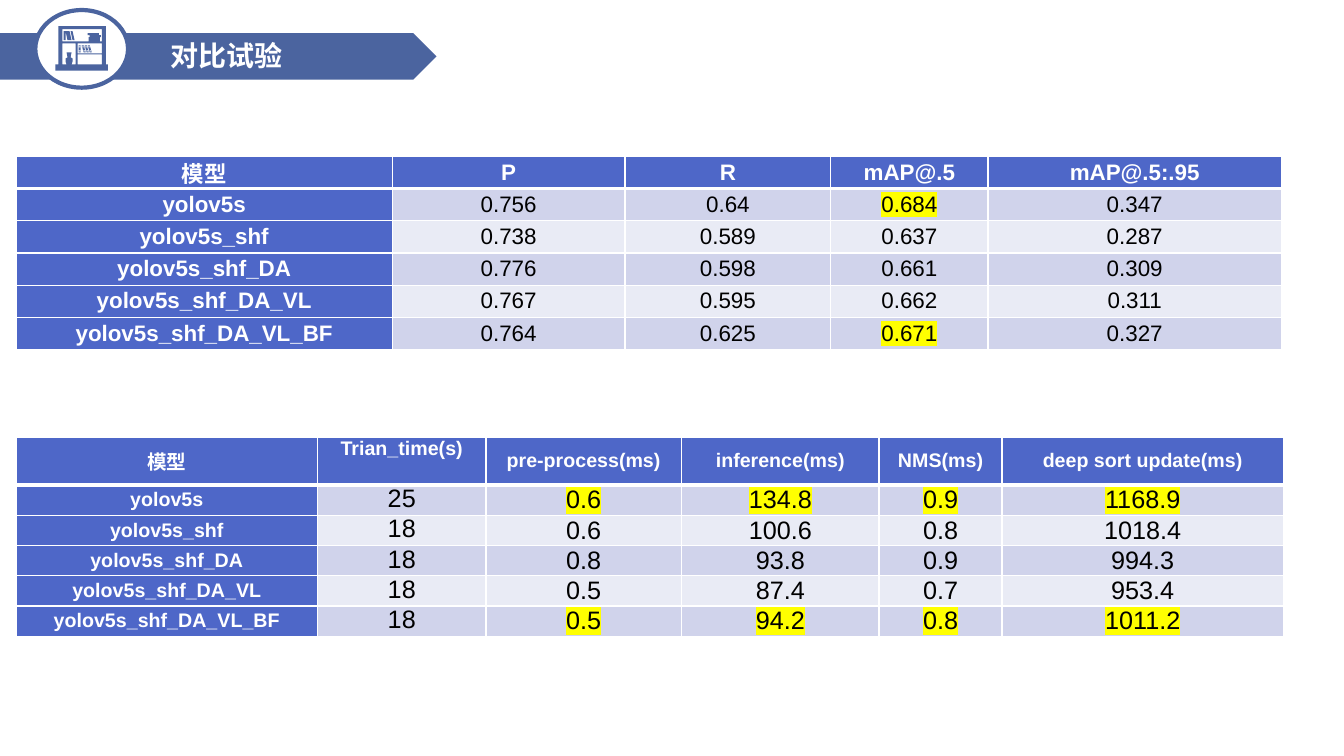
from lxml.etree import SubElement
from pptx import Presentation
from pptx.dml.color import RGBColor
from pptx.enum.shapes import MSO_SHAPE as Preset
from pptx.enum.text import MSO_ANCHOR as Anchor, MSO_AUTO_SIZE as AutoSize, PP_ALIGN as Align
from pptx.oxml.ns import qn
from pptx.util import Inches, Pt

COLORS = {
    "banner": "4B649F",
    "white": "FFFFFF",
    "black": "000000",
    "header": "4E67C8",
    "odd_row": "D0D3EB",
    "even_row": "E9EBF5",
    "highlight": "FFFF00",
}
FONT = "Arial"

MODELS = ["yolov5s", "yolov5s_shf", "yolov5s_shf_DA", "yolov5s_shf_DA_VL", "yolov5s_shf_DA_VL_BF"]
MARKED_ROWS = (1, 5)

ACCURACY_HEADS = ["模型", "P", "R", "mAP@.5", "mAP@.5:.95"]
ACCURACY = [
    ["0.756", "0.64", "0.684", "0.347"],
    ["0.738", "0.589", "0.637", "0.287"],
    ["0.776", "0.598", "0.661", "0.309"],
    ["0.767", "0.595", "0.662", "0.311"],
    ["0.764", "0.625", "0.671", "0.327"],
]

TIMING_HEADS = ["模型", "Trian_time(s)", "pre-process(ms)", "inference(ms)",
                "NMS(ms)", "deep sort update(ms)"]
TIMING = [
    ["25", "0.6", "134.8", "0.9", "1168.9"],
    ["18", "0.6", "100.6", "0.8", "1018.4"],
    ["18", "0.8", "93.8", "0.9", "994.3"],
    ["18", "0.5", "87.4", "0.7", "953.4"],
    ["18", "0.5", "94.2", "0.8", "1011.2"],
]


def rgb(name):
    return RGBColor.from_string(COLORS[name])


def add_run(paragraph, text, size, color, bold, marked=False):
    run = paragraph.add_run()
    run.text = text
    run.font.size = Pt(size)
    run.font.bold = bold
    run.font.color.rgb = rgb(color)
    if marked:
        highlight = SubElement(run.font._element, qn("a:highlight"))
        SubElement(highlight, qn("a:srgbClr"), val=COLORS["highlight"])
    run.font.name = FONT


def paint(shape, fill, line=None, width=0):
    shape.shadow.inherit = False
    shape.fill.solid()
    shape.fill.fore_color.rgb = rgb(fill)
    if line:
        shape.line.color.rgb = rgb(line)
        shape.line.width = Pt(width)
    else:
        shape.line.fill.background()


def add_preset(slide, preset, box, *style):
    shape = slide.shapes.add_shape(preset, *map(Inches, box))
    paint(shape, *style)


def add_title(slide, text):
    title = slide.shapes.add_textbox(Inches(1.59), Inches(0.33), Inches(2.75), Inches(0.44))
    frame = title.text_frame
    frame.word_wrap = True
    frame.auto_size = AutoSize.SHAPE_TO_FIT_TEXT
    add_run(frame.paragraphs[0], text, 20, "white", True)


# Bookcase icon: nested outlines alternate between filled and open
def slab(left, top, right, bottom, lean=0):
    return [(left, top), (right, top), (right + lean, bottom), (left + lean, bottom)]


def bookcase_outlines():
    case = [(0.58, 0.26), (1.05, 0.26), (1.05, 0.64), (1.07, 0.64),
            (1.07, 0.7), (0.55, 0.7), (0.55, 0.64), (0.58, 0.64)]
    openings = [slab(0.62, 0.29, 1.01, 0.41), slab(0.62, 0.43, 0.75, 0.64),
                slab(0.77, 0.43, 1.01, 0.53), slab(0.77, 0.54, 1.01, 0.64)]
    vase = [(0.66, 0.52), (0.71, 0.52), (0.7, 0.57), (0.72, 0.58), (0.72, 0.61),
            (0.71, 0.64), (0.66, 0.64), (0.65, 0.61), (0.65, 0.58), (0.67, 0.57)]
    outlines = [case, *openings, vase]
    for left, lean in [(0.63, 0), (0.65, 0.02), (0.67, 0.02), (0.7, 0.02)]:
        outlines.append(slab(left, 0.31, left + 0.02, 0.4, lean))
    for level, left in enumerate([0.87, 0.89, 0.88, 0.88]):
        top = 0.33 + 0.02 * level
        outlines.append(slab(left, top, left + 0.11, top + 0.02))
    for left, lean in [(0.78, 0), (0.81, 0.02), (0.84, 0.02), (0.87, 0.02)]:
        outlines.append(slab(left, 0.45, left + 0.02, 0.52, lean))
        for band in (0.46, 0.5):
            shift = left + lean * (band - 0.45) / 0.07
            outlines.append(slab(shift, band, shift + 0.02, band + 0.01))
    return outlines


def add_bookcase(slide):
    outlines = [[(Inches(x), Inches(y)) for x, y in outline] for outline in bookcase_outlines()]
    builder = slide.shapes.build_freeform(*outlines[0][0])
    for outline in outlines:
        if outline is not outlines[0]:
            builder.move_to(*outline[0])
        builder.add_line_segments(outline[1:], close=True)
    paint(builder.convert_to_shape(), "banner")


# Tables
def add_borders(cell, row):
    widths = {"lnL": 1, "lnR": 1, "lnT": 3 if row == 1 else 1, "lnB": 3 if row == 0 else 1}
    properties = cell._tc.get_or_add_tcPr()
    for side, width in widths.items():
        border = SubElement(properties, qn(f"a:{side}"), w=str(Pt(width)))
        fill = SubElement(border, qn("a:solidFill"))
        SubElement(fill, qn("a:srgbClr"), val=COLORS["white"])


def fill_cell(cell, row, text, fill, anchor, *run_style):
    cell.margin_left = cell.margin_right = Inches(0.07)
    cell.margin_top = cell.margin_bottom = 0
    cell.vertical_anchor = anchor
    add_borders(cell, row)
    cell.fill.solid()
    cell.fill.fore_color.rgb = rgb(fill)
    paragraph = cell.text_frame.paragraphs[0]
    paragraph.alignment = Align.CENTER
    add_run(paragraph, text, *run_style)


def add_results(slide, top, heads, results, widths, heights, head_size, value_size,
                marked_columns, top_columns=()):
    rows = [heads] + [[model, *values] for model, values in zip(MODELS, results)]
    frame = slide.shapes.add_table(len(rows), len(heads), Inches(0.16), Inches(top),
                                   Inches(sum(widths)), Inches(sum(heights)))
    table = frame.table
    for column, width in zip(table.columns, widths):
        column.width = Inches(width)
    for line, height in zip(table.rows, heights):
        line.height = Inches(height)
    for r, row in enumerate(rows):
        for c, text in enumerate(row):
            anchor = Anchor.TOP if c in top_columns else Anchor.MIDDLE
            if r == 0 or c == 0:
                style = ("header", anchor, head_size, "white", True)
            else:
                marked = r in MARKED_ROWS and c in marked_columns
                band = "odd_row" if r % 2 else "even_row"
                style = (band, anchor, value_size, "black", False, marked)
            fill_cell(table.cell(r, c), r, text, *style)


def main():
    deck = Presentation()
    deck.slide_width, deck.slide_height = Inches(13.33), Inches(7.5)
    slide = deck.slides.add_slide(deck.slide_layouts[6])

    # Heading
    add_preset(slide, Preset.PENTAGON, (0, 0.33, 4.33, 0.46), "banner")
    add_preset(slide, Preset.OVAL, (0.35, 0.1, 0.92, 0.77), "white", "banner", 3)
    add_title(slide, "对比试验")
    add_bookcase(slide)

    # Timing below, accuracy above
    add_results(slide, 4.34, TIMING_HEADS, TIMING, [2.99, 1.67, 1.94, 1.96, 1.22, 2.79],
                [0.47] + [0.3] * 5, 14, 18, marked_columns=(2, 3, 4, 5), top_columns=(1,))
    add_results(slide, 1.55, ACCURACY_HEADS, ACCURACY, [3.73, 2.31, 2.04, 1.56, 2.91],
                [0.32] * 6, 16, 16, marked_columns=(3,))

    deck.save("out.pptx")


if __name__ == "__main__":
    main()
